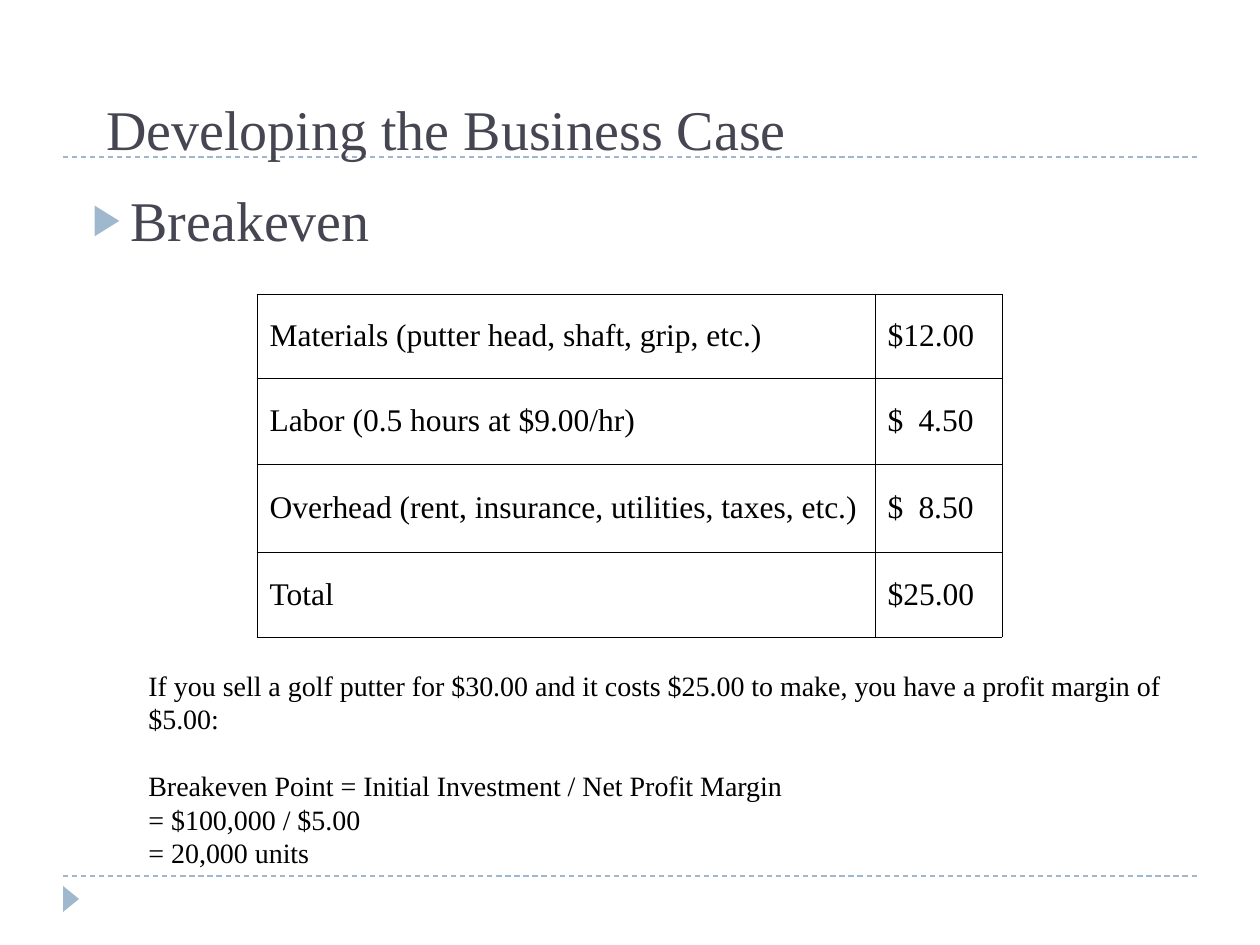
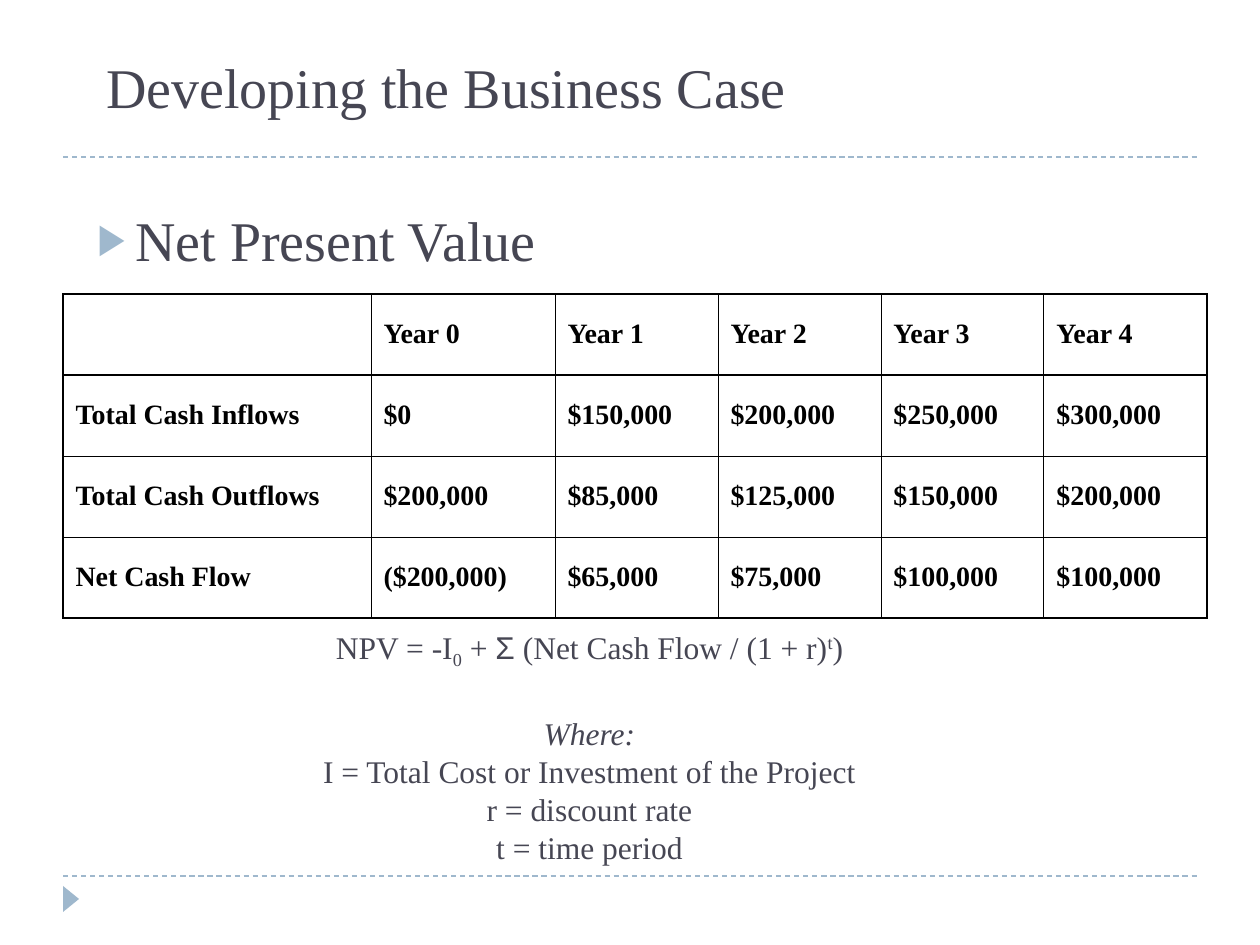
"""Build two business case slides: breakeven and net present value."""
import dataclasses

import lxml.etree
import pptx
import pptx.dml.color
import pptx.enum.dml
import pptx.enum.shapes
import pptx.enum.text
import pptx.oxml.ns
import pptx.util


@dataclasses.dataclass(frozen=True)
class Theme:
    ink: str = "464653"
    black: str = "000000"
    accent: str = "9FB8CD"
    face: str = "Times New Roman"
    sigma: str = "Arial"
    head: int = 32
    large: int = 18
    small: int = 16
    thin: float = 0.45
    thick: float = 0.96


theme = Theme()
rgb = pptx.dml.color.RGBColor.from_string
qn = pptx.oxml.ns.qn
align = pptx.enum.text.PP_ALIGN
anchor = pptx.enum.text.MSO_ANCHOR


def px(*marks):
    """Turn pixel lengths into EMU."""
    return [pptx.util.Emu(round(mark * 914400 / 126)) for mark in marks]


def put(frame, lines, size, color=theme.ink, bold=None, side=None, middle=False,
        pitch=None, gaps=None, bullet=False, tab=None):
    """Write lines, each a string or a list of (text, format) runs."""
    frame.word_wrap = True
    if middle:
        frame.vertical_anchor = anchor.MIDDLE
    for i, line in enumerate(lines):
        para = frame.paragraphs[0] if i == 0 else frame.add_paragraph()
        props = para._p.get_or_add_pPr()
        if bullet:
            props.set("marL", str(px(76)[0]))
            props.set("indent", str(-px(38)[0]))
            mark = lxml.etree.SubElement(props, qn("a:buClr"))
            lxml.etree.SubElement(mark, qn("a:srgbClr"), val=theme.accent)
            lxml.etree.SubElement(props, qn("a:buSzPct"), val="76000")
            lxml.etree.SubElement(props, qn("a:buFont"), typeface=theme.sigma)
            lxml.etree.SubElement(props, qn("a:buChar"), char="▶")
        if tab:
            stops = lxml.etree.SubElement(props, qn("a:tabLst"))
            lxml.etree.SubElement(stops, qn("a:tab"), pos=str(px(tab)[0]), algn="r")
        para.alignment = side
        if pitch:
            para.line_spacing = pptx.util.Pt(pitch)
        if gaps and i in gaps:
            para.space_before = pptx.util.Pt(gaps[i])
        for text, form in [(line, {})] if isinstance(line, str) else line:
            run = para.add_run()
            run.text = text
            run.font.size = pptx.util.Pt(size)
            run.font.name = form.get("face", theme.face)
            run.font.color.rgb = rgb(color)
            run.font.bold = bold
            run.font.italic = form.get("italic")
            if "base" in form:
                run._r.get_or_add_rPr().set("baseline", str(form["base"] * 1000))


costs = [
    ["Materials (putter head, shaft, grip, etc.)", "$12.00"],
    ["Labor (0.5 hours at $9.00/hr)", "$\t4.50"],
    ["Overhead (rent, insurance, utilities, taxes, etc.)", "$\t8.50"],
    ["Total", "$25.00"],
]
flows = [
    ["", *[f"Year {year}" for year in range(5)]],
    ["Total Cash Inflows", "$0", "$150,000", "$200,000", "$250,000", "$300,000"],
    ["Total Cash Outflows", "$200,000", "$85,000", "$125,000", "$150,000", "$200,000"],
    ["Net Cash Flow", "($200,000)", "$65,000", "$75,000", "$100,000", "$100,000"],
]
margin = [
    "If you sell a golf putter for $30.00 and it costs $25.00 to make, "
    "you have a profit margin of $5.00:",
    "Breakeven Point = Initial Investment / Net Profit Margin",
    "= $100,000 / $5.00",
    "= 20,000 units",
]
value = [
    [("NPV = -I", {}), ("0", {"base": -25}), (" + ", {}), ("Σ", {"face": theme.sigma}),
     (" (Net Cash Flow / (1 + r)", {}), ("t", {"base": 30}), (")", {})],
    [("Where:", {"italic": True})],
    "I = Total Cost or Investment of the Project",
    "r = discount rate",
    "t = time period",
]
pages = [
    dict(title=(94, 42, 1071, 126), topic="Breakeven", body=(42, 179, 1166, 84),
         data=costs, left=257, cols=[618, 127], rows=[84, 86, 88, 85],
         cell=dict(size=theme.large, tab=86), edge=theme.thin,
         note=(136, 662, 1084, 214), lines=margin,
         form=dict(size=theme.small, color=theme.black, pitch=19.2, gaps={1: 19})),
    dict(title=(94, 42, 1071, 84), topic="Net Present Value", body=(47, 199, 1166, 84),
         data=flows, left=63, cols=[308, 184] + [163] * 4, rows=[81] * 4,
         cell=dict(size=theme.small, bold=True), edge=theme.thick,
         note=(199, 627, 781, 244), lines=value,
         form=dict(size=theme.large, side=align.CENTER, pitch=21.6, gaps={1: 25})),
]

deck = pptx.Presentation()
deck.slide_width, deck.slide_height = px(1260, 945)

for page in pages:
    slide = deck.slides.add_slide(deck.slide_layouts[6])
    shapes = slide.shapes

    for y in (876, 157):
        rule = shapes.add_connector(pptx.enum.shapes.MSO_CONNECTOR.STRAIGHT,
                                    *px(63, y, 1197, y))
        rule.line.color.rgb = rgb(theme.accent)
        rule.line.width = pptx.util.Pt(0.75)
        rule.line.dash_style = pptx.enum.dml.MSO_LINE.DASH
        lxml.etree.SubElement(rule._element.spPr, qn("a:effectLst"))

    arrow = shapes.add_shape(pptx.enum.shapes.MSO_SHAPE.ISOSCELES_TRIANGLE,
                             *px(58, 891, 26, 16))
    arrow.rotation = 90
    arrow.shadow.inherit = False
    arrow.fill.solid()
    arrow.fill.fore_color.rgb = rgb(theme.accent)
    arrow.line.fill.background()

    title = shapes.add_textbox(*px(*page["title"])).text_frame
    title.vertical_anchor = anchor.BOTTOM
    put(title, ["Developing the Business Case"], theme.head)
    body = shapes.add_textbox(*px(*page["body"])).text_frame
    put(body, [page["topic"]], theme.head, bullet=True)

    cols, rows = page["cols"], page["rows"]
    grid = shapes.add_table(len(rows), len(cols),
                            *px(page["left"], 294, sum(cols), sum(rows))).table
    grid.first_row = grid.horz_banding = False
    for col, width in zip(grid.columns, px(*cols)):
        col.width = width
    for row, height in zip(grid.rows, px(*rows)):
        row.height = height
    for r, record in enumerate(page["data"]):
        for c, text in enumerate(record):
            cell = grid.cell(r, c)
            cell.fill.background()
            cell.vertical_anchor = anchor.MIDDLE
            if text:
                put(cell.text_frame, [text], color=theme.black, side=align.JUSTIFY,
                    **page["cell"])
            outer = {"L": c == 0, "R": c == len(cols) - 1,
                     "T": r < 2, "B": r in (0, len(rows) - 1)}
            props = cell._tc.get_or_add_tcPr()
            for i, (edge, heavy) in enumerate(outer.items()):
                weight = page["edge"] if heavy else theme.thin
                line = lxml.etree.Element(qn(f"a:ln{edge}"),
                                          w=str(pptx.util.Pt(weight)))
                fill = lxml.etree.SubElement(line, qn("a:solidFill"))
                lxml.etree.SubElement(fill, qn("a:srgbClr"), val=theme.black)
                props.insert(i, line)

    note = shapes.add_textbox(*px(*page["note"])).text_frame
    put(note, page["lines"], middle=True, **page["form"])

deck.save("out.pptx")
